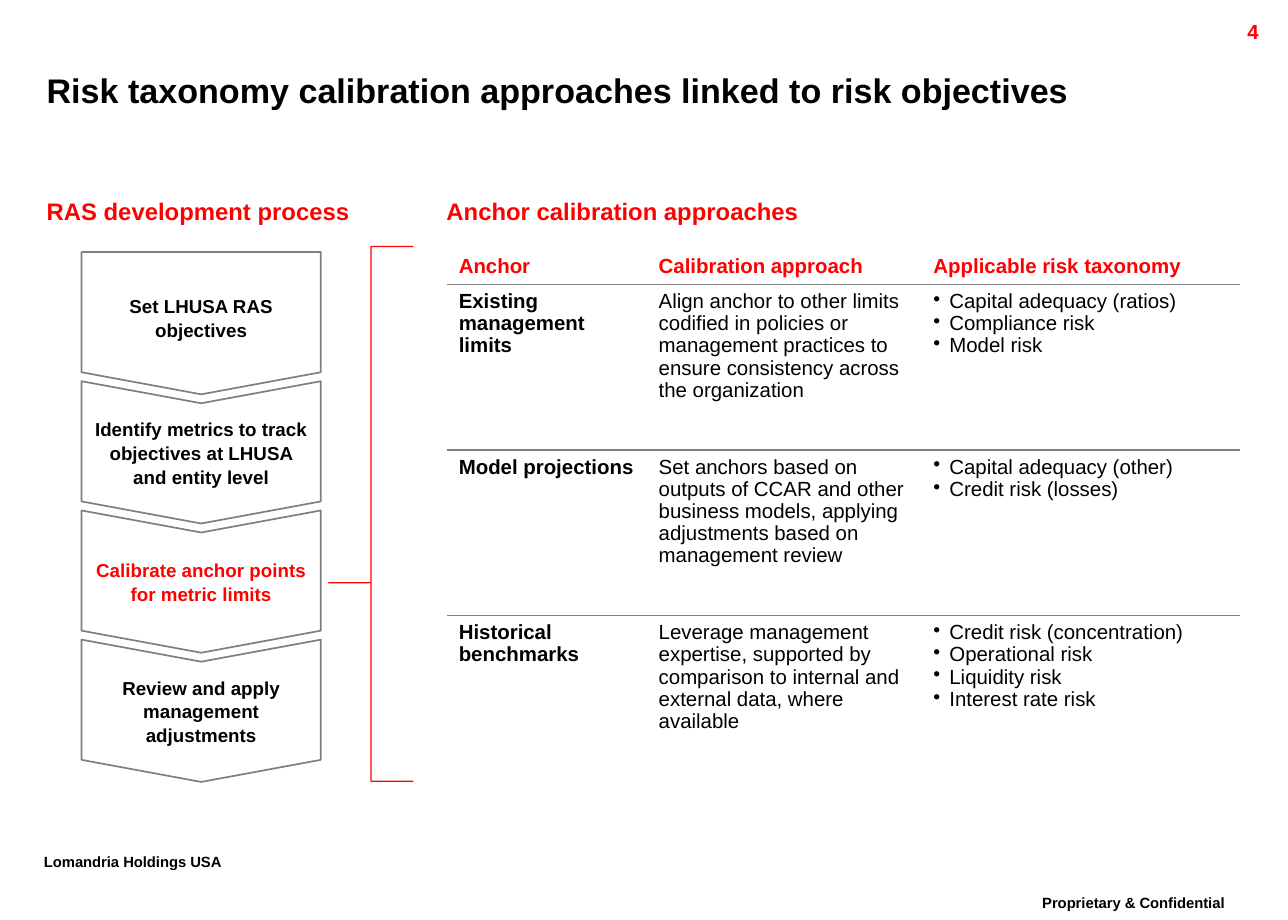
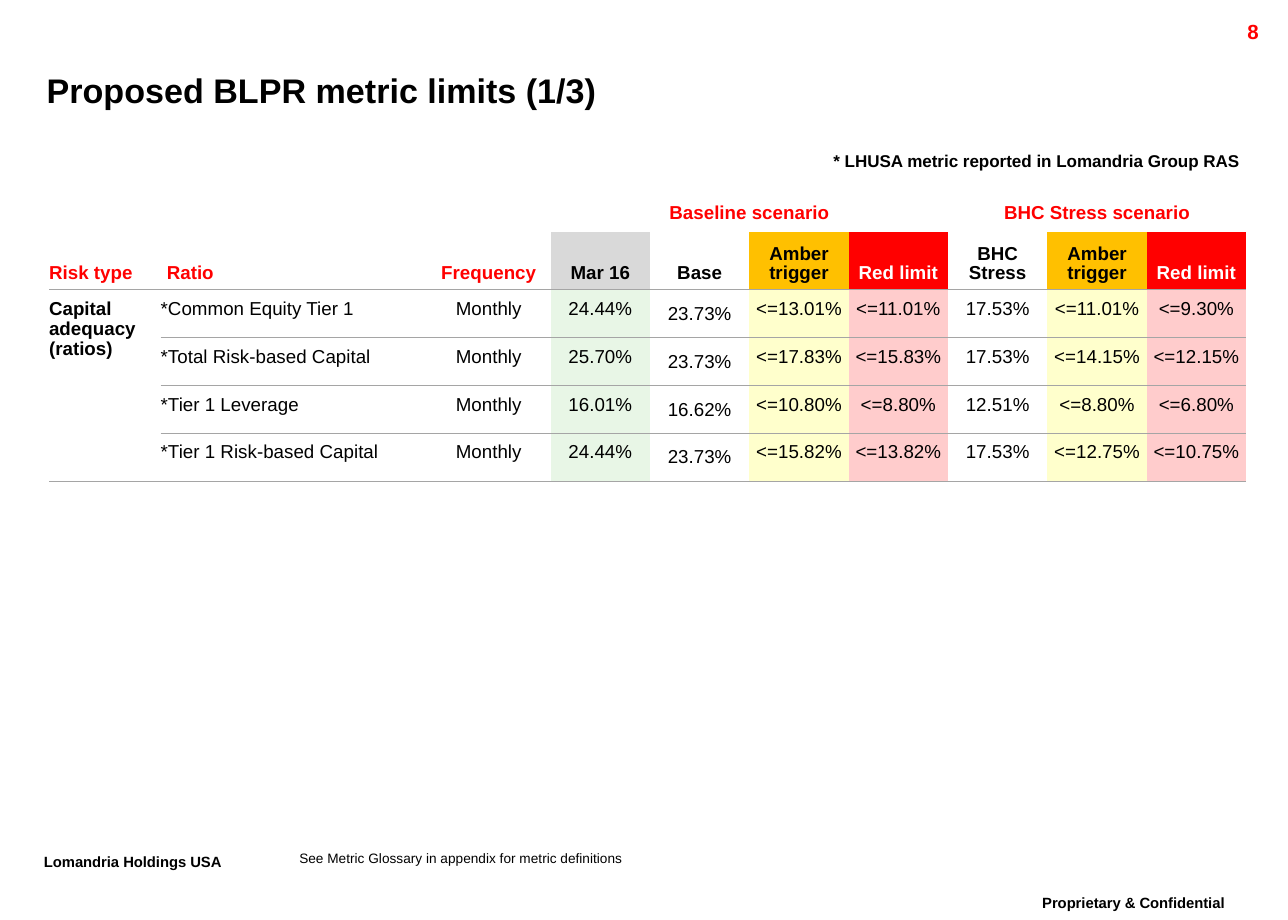
from dataclasses import dataclass

from lxml.etree import SubElement
from pptx import Presentation
from pptx.dml.color import RGBColor
from pptx.enum.shapes import MSO_SHAPE as Shape
from pptx.enum.text import MSO_ANCHOR as Anchor, PP_ALIGN as Align
from pptx.oxml import parse_xml
from pptx.oxml.ns import nsdecls, qn
from pptx.util import Inches, Pt


@dataclass(frozen=True)
class Theme:
    font: str = "Arial"
    # Colours
    black: str = "000000"
    white: str = "FFFFFF"
    red: str = "FF0000"
    amber: str = "FFC000"
    actual: str = "D9D9D9"
    pale_green: str = "E8F6E6"
    pale_amber: str = "FFFFCC"
    pale_red: str = "FFCCCC"
    outline: str = "7F7F7F"
    anchor_rule: str = "808080"
    limit_rule: str = "A5A5A5"
    # Type sizes
    title: int = 20
    footer: int = 15
    heading: int = 14
    body: int = 12
    small: int = 11
    note: int = 10
    glossary: int = 8


THEME = Theme()
NO_STYLE = "{2D5ABB26-0587-4C30-8999-92F81FD0307C}"
NO_INSETS = (0, 0, 0, 0)
COMPANY = "Lomandria"


# Text
def assign(target, values):
    for name, value in values.items():
        setattr(target, name, value)


def set_insets(holder, insets):
    sides = ("margin_left", "margin_top", "margin_right", "margin_bottom")
    assign(holder, dict(zip(sides, map(Inches, insets))))


def add_bullet(paragraph, indent=0.13):
    properties = paragraph._p.get_or_add_pPr()
    properties.set("marL", str(Inches(indent)))
    properties.set("indent", str(-Inches(indent)))
    SubElement(properties, qn("a:buChar"), char="•")


def write(frame, lines, size, color=THEME.black, bold=False, align=Align.LEFT,
          spacing=1.0, bullets=False, raised=False):
    lines = [lines] if isinstance(lines, str) else lines
    for index, line in enumerate(lines):
        paragraph = frame.paragraphs[0] if index == 0 else frame.add_paragraph()
        assign(paragraph, {"alignment": align, "line_spacing": spacing})
        if bullets:
            add_bullet(paragraph)
        if not line:
            SubElement(paragraph._p, qn("a:endParaRPr"), sz=str(size * 100))
            continue
        run = paragraph.add_run()
        run.text = line
        assign(run.font, {"name": THEME.font, "size": Pt(size), "bold": bold})
        run.font.color.rgb = RGBColor.from_string(color)
        if raised:
            run._r.get_or_add_rPr().set("baseline", "30000")


def add_text(slide, box, text, size, insets=(0.1, 0.05, 0.1, 0.05),
             anchor=Anchor.TOP, **style):
    frame = slide.shapes.add_textbox(*map(Inches, box)).text_frame
    assign(frame, {"word_wrap": True, "vertical_anchor": anchor})
    set_insets(frame, insets)
    write(frame, text, size, **style)


# Shapes
def add_outline(slide, kind, box, adjustments, color, width, fill=None):
    shape = slide.shapes.add_shape(kind, *map(Inches, box))
    shape.shadow.inherit = False
    for index, value in enumerate(adjustments):
        shape.adjustments[index] = value
    if fill:
        shape.fill.solid()
        shape.fill.fore_color.rgb = RGBColor.from_string(fill)
    else:
        shape.fill.background()
    shape.line.color.rgb = RGBColor.from_string(color)
    shape.line.width = Pt(width)
    return shape


def add_step(slide, kind, top, text, color):
    step = add_outline(slide, kind, (1.06, top, 1.16, 1.95), [0.155],
                       THEME.outline, 1, THEME.white)
    step.rotation = 90
    frame = step.text_frame
    assign(frame, {"word_wrap": True, "vertical_anchor": Anchor.MIDDLE})
    set_insets(frame, (0.08,) * 4)
    # Turn the words upright inside the rotated arrow
    body = frame._txBody.find(qn("a:bodyPr"))
    body.set("vert", "vert")
    body.set("rot", "10800000")
    write(frame, text, THEME.small, color, True, Align.CENTER, 1.05)


# Tables
def add_grid(slide, left, top, widths, heights):
    box = (left, top, sum(widths), sum(heights))
    table = slide.shapes.add_table(len(heights), len(widths),
                                   *map(Inches, box)).table
    assign(table, {"first_row": False, "horz_banding": False})
    table._tbl.tblPr.find(qn("a:tableStyleId")).text = NO_STYLE
    for column, width in zip(table.columns, widths):
        column.width = Inches(width)
    for row, height in zip(table.rows, heights):
        row.height = Inches(height)
    return table


def fill_cell(cell, text, size, insets, anchor=Anchor.TOP, fill=None, **style):
    set_insets(cell, insets)
    cell.vertical_anchor = anchor
    if fill:
        cell.fill.solid()
        cell.fill.fore_color.rgb = RGBColor.from_string(fill)
    else:
        cell.fill.background()
    write(cell.text_frame, text, size, **style)


def rule_below(cell, color, width):
    cell._tc.get_or_add_tcPr().insert(0, parse_xml(
        f'<a:lnB {nsdecls("a")} w="{Pt(width)}"><a:solidFill>'
        f'<a:srgbClr val="{color}"/></a:solidFill></a:lnB>'))


# Shared frame: page number, title and footers
def add_page(deck, number, title):
    slide = deck.slides.add_slide(deck.slide_layouts[6])
    add_text(slide, (8.15, 7.25, 2.18, 0.35), "Proprietary & Confidential",
             THEME.footer, bold=True, align=Align.CENTER, spacing=0.86, raised=True)
    add_text(slide, (0.26, 6.91, 1.91, 0.35), f"{COMPANY} Holdings USA",
             THEME.footer, bold=True, spacing=0.86, raised=True)
    add_text(slide, (9.36, 0.11, 1, 0.24), str(number), THEME.body,
             color=THEME.red, bold=True, align=Align.RIGHT)
    add_text(slide, (0.38, 0.49, 9.48, 0.48), title, THEME.title, NO_INSETS,
             Anchor.MIDDLE, bold=True)
    return slide


# Calibration approaches
def add_process(slide):
    steps = ["Set LHUSA RAS objectives",
             "Identify metrics to track objectives at LHUSA and entity level",
             "Calibrate anchor points for metric limits",
             "Review and apply management adjustments"]
    first, last, current = 1.66, 4.82, 2
    pitch = (last - first) / (len(steps) - 1)
    for index, text in enumerate(steps):
        add_step(slide, Shape.CHEVRON if index else Shape.PENTAGON,
                 first + index * pitch, text,
                 THEME.red if index == current else THEME.black)
    add_outline(slide, Shape.LEFT_BRACE, (2.68, 2.01, 0.69, 4.36), [0, 0.629],
                THEME.red, 0.75)


def add_anchor_table(slide):
    header = ["Anchor", "Calibration approach", "Applicable risk taxonomy"]
    anchors = [
        ("Existing management limits",
         "Align anchor to other limits codified in policies or management "
         "practices to ensure consistency across the organization",
         ["Capital adequacy (ratios)", "Compliance risk", "Model risk"]),
        ("Model projections",
         "Set anchors based on outputs of CCAR and other business models, "
         "applying adjustments based on management review",
         ["Capital adequacy (other)", "Credit risk (losses)"]),
        ("Historical benchmarks",
         "Leverage management expertise, supported by comparison to internal "
         "and external data, where available",
         ["Credit risk (concentration)", "Operational risk", "Liquidity risk",
          "Interest rate risk"]),
    ]
    table = add_grid(slide, 3.64, 2.01, [1.63, 2.24, 2.6], [0.31] + [1.35] * 3)
    for r, row in enumerate([header] + anchors):
        for c, text in enumerate(row):
            cell = table.cell(r, c)
            fill_cell(cell, text, THEME.body, (0.1, 0.05, 0.08, 0.05),
                      Anchor.TOP if r else Anchor.BOTTOM,
                      color=THEME.black if r else THEME.red,
                      bold=r == 0 or c == 0, spacing=0.97,
                      bullets=isinstance(text, list))
            if r < len(anchors):
                rule_below(cell, THEME.anchor_rule, 1)


# Metric limits
def add_limit_table(slide):
    t = THEME
    amber = ("Amber trigger", t.black, t.amber, t.pale_amber)
    red = ("Red limit", t.white, t.red, t.pale_red)
    # Heading, heading colour, heading fill, value fill
    columns = [("Risk type", t.red, None, None), ("Ratio", t.red, None, None),
               ("Frequency", t.red, None, None),
               ("Mar 16", t.black, t.actual, t.pale_green),
               ("Base", t.black, None, None), amber, red,
               ("BHC Stress", t.black, None, None), amber, red]
    scenarios = {3: ("Baseline scenario", 6), 7: ("BHC Stress scenario", 9)}
    metrics = [
        ("*Common Equity Tier 1", "24.44%", "23.73%", "<=13.01%", "<=11.01%",
         "17.53%", "<=11.01%", "<=9.30%"),
        ("*Total Risk-based Capital", "25.70%", "23.73%", "<=17.83%", "<=15.83%",
         "17.53%", "<=14.15%", "<=12.15%"),
        ("*Tier 1 Leverage", "16.01%", "16.62%", "<=10.80%", "<=8.80%",
         "12.51%", "<=8.80%", "<=6.80%"),
        ("*Tier 1 Risk-based Capital", "24.44%", "23.73%", "<=15.82%", "<=13.82%",
         "17.53%", "<=12.75%", "<=10.75%"),
    ]
    table = add_grid(slide, 0.4, 1.61, [0.91, 2.17, 1.01] + [0.81] * 7,
                     [0.28, 0.47] + [0.39] * len(metrics))
    last = len(metrics) + 1
    for c, (heading, color, heading_fill, value_fill) in enumerate(columns):
        align = Align.LEFT if c < 2 else Align.CENTER
        style = {"size": t.small, "spacing": 0.95}
        # Scenario and column headings
        scenario, _ = scenarios.get(c, ("", c))
        fill_cell(table.cell(0, c), scenario, insets=(0.05,) * 4, color=t.red,
                  bold=True, align=Align.CENTER, **style)
        fill_cell(table.cell(1, c), heading, anchor=Anchor.BOTTOM,
                  insets=(0.05 if c else 0, 0.05, 0.05, 0.05),
                  fill=heading_fill, color=color, bold=True, align=align, **style)
        rule_below(table.cell(1, c), t.limit_rule, 0.75)
        # Values
        for r, (ratio, *values) in enumerate(metrics, start=2):
            risk = "Capital adequacy (ratios)" if r == 2 else ""
            centred = heading == "Base"
            fill_cell(table.cell(r, c), [risk, ratio, "Monthly", *values][c],
                      insets=(0, 0.01 if centred else 0.08, 0, 0),
                      anchor=Anchor.MIDDLE if centred else Anchor.TOP,
                      fill=value_fill, bold=c == 0, align=align, **style)
            if c or r in (2, last):
                rule_below(table.cell(r, c), t.limit_rule, 0.75)
    for start, (_, end) in scenarios.items():
        table.cell(0, start).merge(table.cell(0, end))
    table.cell(2, 0).merge(table.cell(last, 0))


def main():
    deck = Presentation()
    assign(deck, {"slide_width": Inches(10.5), "slide_height": Inches(7.5)})

    approaches = add_page(
        deck, 4, "Risk taxonomy calibration approaches linked to risk objectives")
    for left, width, heading in [(0.38, 2.98, "RAS development process"),
                                 (3.64, 6, "Anchor calibration approaches")]:
        add_text(approaches, (left, 1.6, width, 0.45), heading, THEME.heading,
                 NO_INSETS, color=THEME.red, bold=True)
    add_anchor_table(approaches)
    add_process(approaches)

    limits = add_page(deck, 8, "Proposed BLPR metric limits (1/3)")
    add_limit_table(limits)
    add_text(limits, (2.44, 6.93, 5.47, 0.13),
             "See Metric Glossary in appendix for metric definitions",
             THEME.glossary, NO_INSETS)
    add_text(limits, (6.5, 1.2, 3.7, 0.25),
             f"* LHUSA metric reported in {COMPANY} Group RAS", THEME.note,
             bold=True, align=Align.RIGHT, spacing=0.86)

    deck.save("out.pptx")


if __name__ == "__main__":
    main()
